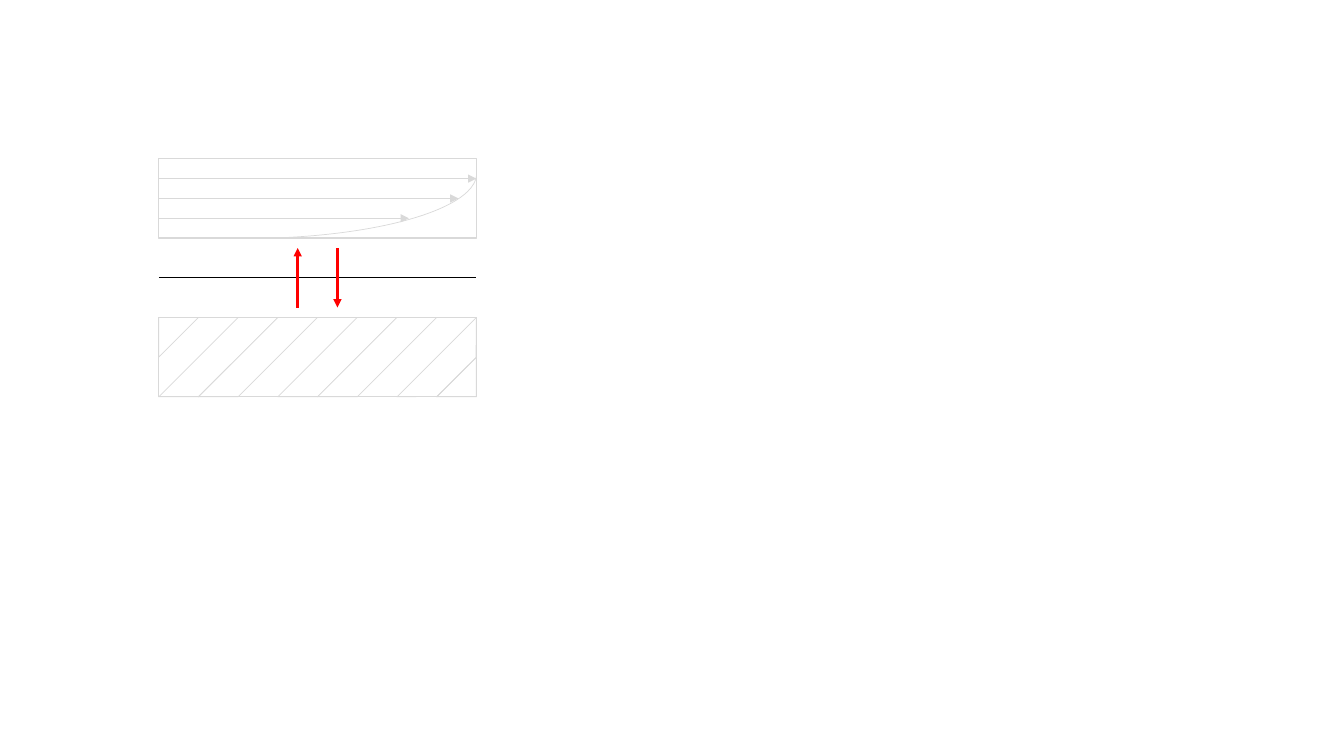
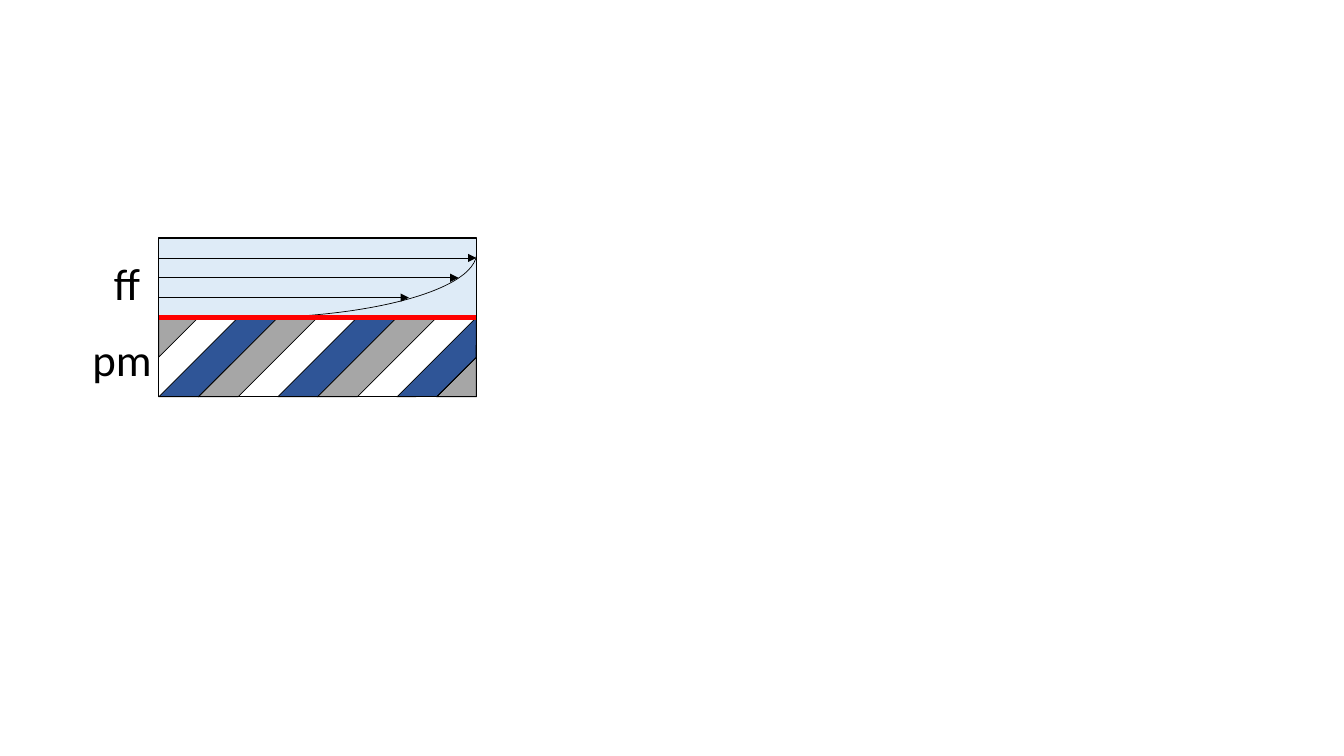
import dataclasses
import math

import lxml.etree
import pptx
import pptx.dml.color
import pptx.enum.shapes
import pptx.enum.text
import pptx.oxml.ns
import pptx.util

PRESET = pptx.enum.shapes.MSO_SHAPE
LEFT_SIDE, RIGHT_SIDE = 1, 3


@dataclasses.dataclass(frozen=True)
class Theme:
    font: str = "Calibri"
    label_size: int = 32
    black: str = "000000"
    red: str = "FF0000"
    white: str = "FFFFFF"
    pale: str = "D9D9D9"
    water: str = "DEEBF7"
    solid: str = "2F5597"
    grain: str = "A6A6A6"
    thin: float = 0.5
    frame: float = 1
    flux: float = 2
    interface: float = 3


THEME = Theme()
LEFT, COLUMNS, ROWS = 4, 8, 2
RIGHT = LEFT + COLUMNS
POROUS_TOP = 8
BAND_COLUMNS = (0, 1, 3, 4)
FLOW_ENDS = (RIGHT, 11.55, 10.3)


def grid(cells):
    return pptx.util.Cm(cells)


def rgb(value):
    return pptx.dml.color.RGBColor.from_string(value)


def style_line(item, color, width):
    item.line.color.rgb = rgb(color)
    item.line.width = pptx.util.Pt(width)


def add_preset(shapes, preset, column, row, columns, rows, *, line, fill=None,
               width=THEME.thin, rotation=0, adjustments=()):
    shape = shapes.add_shape(preset, grid(column), grid(row), grid(columns), grid(rows))
    shape.shadow.inherit = False
    shape.rotation = rotation
    for index, value in enumerate(adjustments):
        shape.adjustments[index] = value
    if fill:
        shape.fill.solid()
        shape.fill.fore_color.rgb = rgb(fill)
    else:
        shape.fill.background()
    style_line(shape, line, width)
    return shape


def add_line(shapes, start, end, *, color, width=THEME.thin, arrow=False):
    line = shapes.add_connector(pptx.enum.shapes.MSO_CONNECTOR.STRAIGHT,
                                *map(grid, (*start, *end)))
    style_line(line, color, width)
    if arrow:
        lxml.etree.SubElement(line.line._get_or_add_ln(),
                              pptx.oxml.ns.qn("a:tailEnd"), type="triangle")
    lxml.etree.SubElement(line._element.spPr, pptx.oxml.ns.qn("a:effectLst"))
    return line


def add_label(page, text, *, column, row, columns, rows=1.62):
    box = page.shapes.add_textbox(grid(column), grid(row), grid(columns), grid(rows))
    frame = box.text_frame
    frame.word_wrap = True
    frame.auto_size = pptx.enum.text.MSO_AUTO_SIZE.SHAPE_TO_FIT_TEXT
    span = frame.paragraphs[0].add_run()
    span.text = text
    span.font.name = THEME.font
    span.font.size = pptx.util.Pt(THEME.label_size)
    span.font.color.rgb = rgb(THEME.black)


def add_free_flow(shapes, top, *, line, fill):
    channel = add_preset(shapes, PRESET.RECTANGLE, LEFT, top, COLUMNS, ROWS,
                         line=line, fill=fill, width=THEME.frame)
    profile = add_preset(shapes, PRESET.ARC, 0.38, top - 1.27, 11.63, 3.28,
                         line=line, rotation=180, adjustments=(161.28, 215.67))
    profile._element.spPr.xfrm.set("flipH", "1")
    for index, end in enumerate(FLOW_ENDS, start=1):
        row = top + index * ROWS / (len(FLOW_ENDS) + 1)
        arrow = add_line(shapes, (LEFT, row), (end, row), color=line, arrow=True)
        if row == top + ROWS / 2:
            arrow.begin_connect(channel, LEFT_SIDE)


def add_porous_medium(shapes, *, line, solid, grain):
    top, bottom = POROUS_TOP, POROUS_TOP + ROWS
    add_preset(shapes, PRESET.RIGHT_TRIANGLE, RIGHT - 1, bottom - 1, 1, 1,
               line=line, fill=grain, rotation=270)
    for column, fill in zip(BAND_COLUMNS, (solid, grain) * 2):
        add_preset(shapes, PRESET.PARALLELOGRAM, LEFT + column, top, ROWS + 1, ROWS,
                   line=line, fill=fill, adjustments=(1,))
    add_preset(shapes, PRESET.RIGHT_TRIANGLE, LEFT, top, 1, 1,
               line=line, fill=grain, rotation=90)
    length, depth = ROWS * math.sqrt(2), math.sqrt(0.5)
    add_preset(shapes, PRESET.TRAPEZOID, RIGHT - 0.75 - length / 2,
               top + 1.25 - depth / 2, length, depth,
               line=line, fill=solid, rotation=135, adjustments=(1.02,))
    outline = add_preset(shapes, PRESET.RECTANGLE, LEFT, top, COLUMNS, ROWS,
                         line=line, width=THEME.frame)
    edge = add_line(shapes, (RIGHT, top + 1), (RIGHT - 1, bottom), color=line)
    edge.begin_connect(outline, RIGHT_SIDE)


def add_interface(page, row, *, color, width):
    add_line(page.shapes, (LEFT, row), (RIGHT, row), color=color, width=width)


def build_exchange(page):
    add_free_flow(page.shapes, 4, line=THEME.pale, fill=THEME.white)
    add_porous_medium(page.shapes, line=THEME.pale, solid=THEME.white, grain=THEME.white)
    add_interface(page, 7, color=THEME.black, width=THEME.frame)
    for column, start, end in ((7.5, 7.75, 6.25), (8.5, 6.25, 7.75)):
        add_line(page.shapes, (column, start), (column, end),
                 color=THEME.red, width=THEME.flux, arrow=True)


def build_coupled(page):
    add_porous_medium(page.shapes, line=THEME.black, solid=THEME.solid, grain=THEME.grain)
    flow = page.shapes.add_group_shape()
    add_free_flow(flow.shapes, POROUS_TOP - ROWS, line=THEME.black, fill=THEME.water)
    add_label(page, "ff", column=2.62, row=6.32, columns=2.03)
    add_label(page, "pm", column=2.08, row=8.23, columns=2.79)
    add_interface(page, POROUS_TOP, color=THEME.red, width=THEME.interface)


def main():
    deck = pptx.Presentation()
    deck.slide_width = pptx.util.Inches(13.33)
    deck.slide_height = pptx.util.Inches(7.5)
    for build in (build_exchange, build_coupled):
        build(deck.slides.add_slide(deck.slide_layouts[6]))
    deck.save("out.pptx")


if __name__ == "__main__":
    main()
